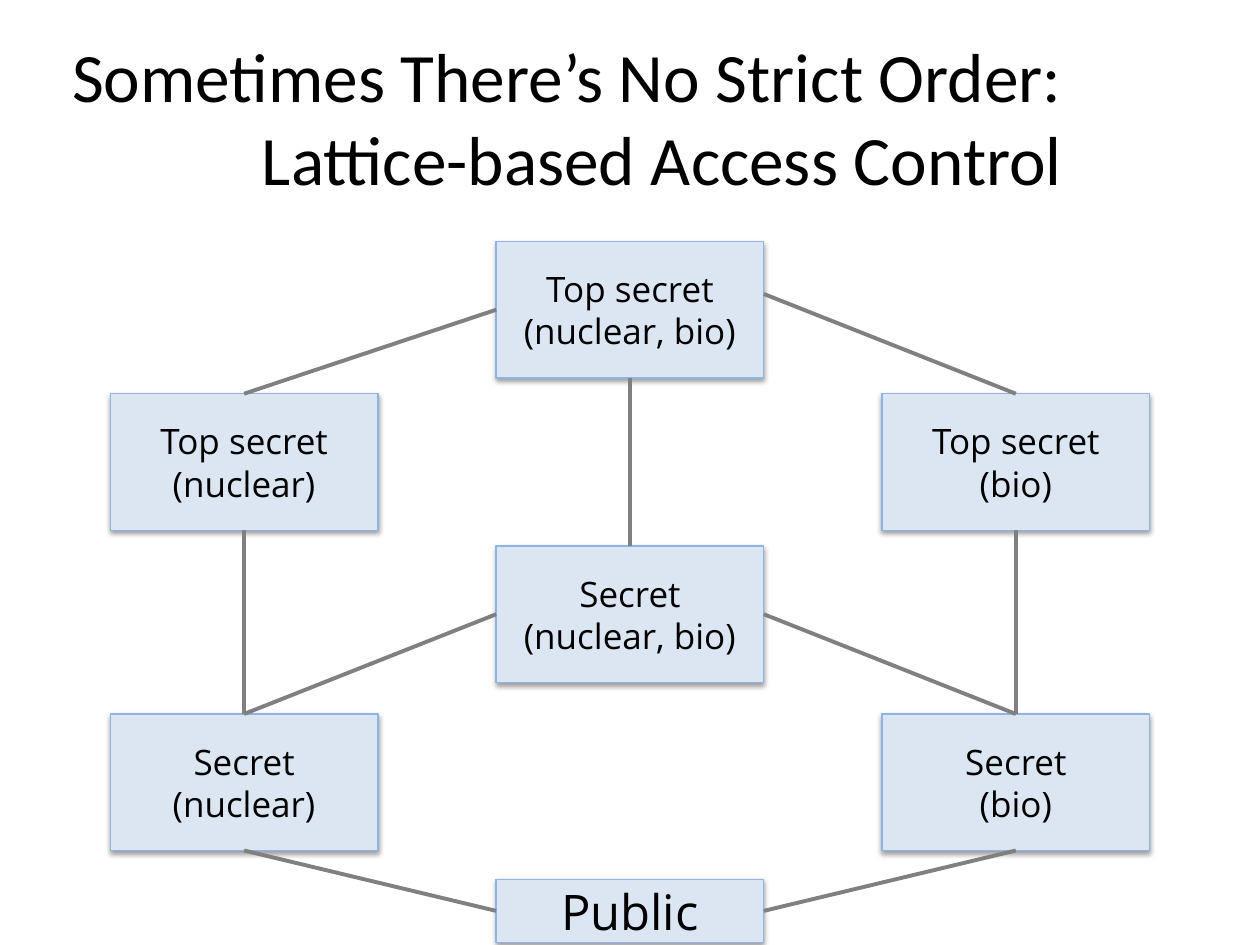
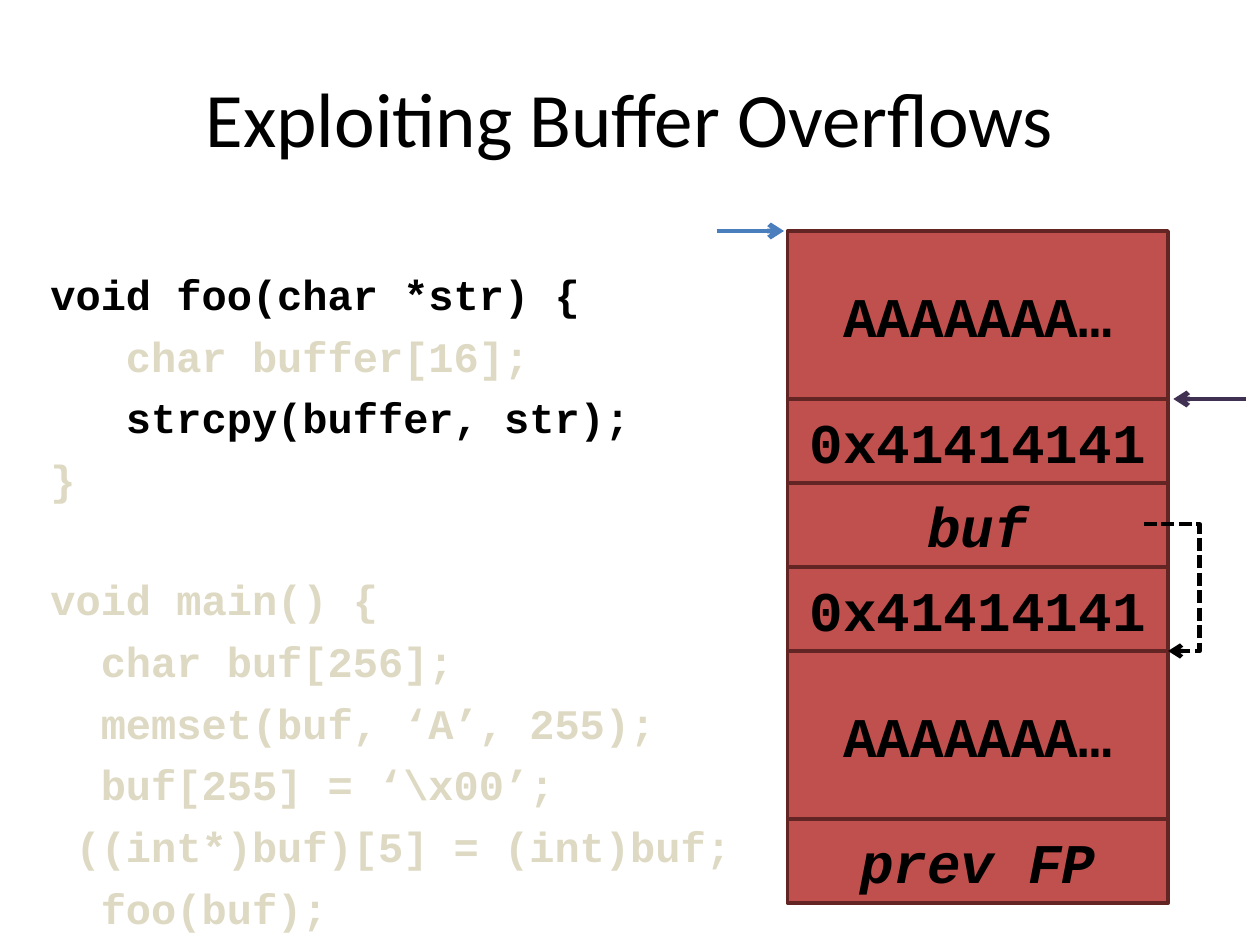
"""Build two security slides: a lattice of access levels and a buffer overflow."""
from lxml.etree import SubElement
from pptx import Presentation
from pptx.dml.color import RGBColor
from pptx.enum.dml import MSO_LINE
from pptx.enum.shapes import MSO_CONNECTOR, MSO_SHAPE
from pptx.enum.text import MSO_ANCHOR, PP_ALIGN
from pptx.oxml.ns import qn
from pptx.util import Pt

BLACK, FADED = "000000", "DDD9C3"
LEVEL_FILL, LEVEL_LINE, EDGE_COLOR = "DCE6F2", "8EB4E3", "808080"
STACK_FILL, STACK_LINE = "C0504D", "632523"
TITLE_FONT, CODE_FONT, LEVEL_FONT = "Calibri", "Courier New", "Open Sans"
TOP, LEFT, BOTTOM, RIGHT = range(4)

LATTICE_TITLE = ["Sometimes There’s No Strict Order:", "Lattice-based Access Control"]
LEVELS = {
    "top both": (["Top secret (nuclear, bio)"], 1, 138),
    "top nuclear": (["Top secret (nuclear)"], 0, 225),
    "top bio": (["Top secret (bio)"], 2, 225),
    "secret both": (["Secret (nuclear, bio)"], 1, 312),
    "secret nuclear": (["Secret (nuclear)"], 0, 408),
    "secret bio": (["Secret", "(bio)"], 2, 408),
    "public": (["Public"], 1, 502.5),
}
EDGES = [
    ("top both", BOTTOM, "secret both", TOP),
    ("secret both", LEFT, "secret nuclear", TOP),
    ("top both", LEFT, "top nuclear", TOP),
    ("top bio", BOTTOM, "secret bio", TOP),
    ("top nuclear", BOTTOM, "secret nuclear", TOP),
    ("secret nuclear", BOTTOM, "public", LEFT),
    ("public", RIGHT, "secret bio", BOTTOM),
    ("secret bio", TOP, "secret both", RIGHT),
]
LEVEL_WIDTH, LEVEL_HEIGHT, PUBLIC_HEIGHT = 153, 78, 36
FIRST_COLUMN, COLUMN_PITCH = 63, 220.5

OVERFLOW_TITLE = ["Exploiting Buffer Overflows"]
FUNCTIONS = [
    [("void foo(char *str) {", BLACK), ("   char buffer[16];", FADED),
     ("   strcpy(buffer, str);", BLACK), ("}", FADED)],
    [(line, FADED) for line in (
        "void main() {", "  char buf[256];", "  memset(buf, ‘A’, 255);",
        "  buf[255] = ‘\\x00’;", " ((int*)buf)[5] = (int)buf;", "  foo(buf);", "}")],
]
CODE_GAP, FUNCTION_GAP = 6.4, 40
STACK = [("AAAAAAA…", 2, False), ("0x41414141", 1, False), ("buf", 1, True),
         ("0x41414141", 1, False), ("AAAAAAA…", 2, False), ("prev FP", 1, True)]
STACK_LEFT, STACK_TOP, STACK_WIDTH, WORD_HEIGHT = 450, 132, 217.5, 48
ARROWS = [((409.5, 132), (448, 132), "4B7EBC"), ((712, 228), (670.5, 228), "403152")]
POINTER_PATH = [(653.5, 299.5), (685.5, 299.5), (685.5, 372), (667.5, 372)]


def rgb(color):
    """Turn a hex string into a colour."""
    return RGBColor.from_string(color)


def write(paragraph, text, *, size, font, color=BLACK, bold=False, italic=False,
          align=PP_ALIGN.LEFT, before=0):
    """Fill one paragraph with formatted text."""
    paragraph.alignment = align
    paragraph.space_before = Pt(before)
    run = paragraph.add_run()
    run.text = text
    run.font.size, run.font.name = Pt(size), font
    run.font.bold, run.font.italic = bold, italic
    run.font.color.rgb = rgb(color)


def write_lines(frame, lines, **style):
    """Write lines of one style as paragraphs, centred vertically."""
    frame.word_wrap = True
    frame.vertical_anchor = MSO_ANCHOR.MIDDLE
    for index, line in enumerate(lines):
        write(frame.add_paragraph() if index else frame.paragraphs[0], line, **style)


def add_title(slide, lines, size, align=PP_ALIGN.CENTER, right_inset=7.2):
    """Add the slide title."""
    frame = slide.shapes.add_textbox(Pt(36), Pt(21.6), Pt(648), Pt(90)).text_frame
    frame.margin_left = Pt(0 if align == PP_ALIGN.RIGHT else 7.2)
    frame.margin_right = Pt(right_inset)
    write_lines(frame, lines, size=size, font=TITLE_FONT, align=align)


def add_box(slide, left, top, width, height, fill, line, line_width, lines, **style):
    """Add a rectangle with centred text."""
    shape = slide.shapes.add_shape(MSO_SHAPE.RECTANGLE, Pt(left), Pt(top), Pt(width), Pt(height))
    shape.fill.solid()
    shape.fill.fore_color.rgb = rgb(fill)
    shape.line.color.rgb = rgb(line)
    shape.line.width = Pt(line_width)
    shape.shadow.inherit = False
    write_lines(shape.text_frame, lines, align=PP_ALIGN.CENTER, **style)
    return shape


def add_shadow(shape):
    """Give a shape a soft shadow just below it."""
    effects = shape._element.spPr.find(qn("a:effectLst"))
    shadow = SubElement(effects, qn("a:outerShdw"), blurRad=str(Pt(3.1)), dist=str(Pt(1.6)),
                        dir="5400000", rotWithShape="0")
    color = SubElement(shadow, qn("a:srgbClr"), val=BLACK)
    SubElement(color, qn("a:alpha"), val="38000")


def add_line(slide, start, end, color, width):
    """Add a straight connector without a shadow."""
    connector = slide.shapes.add_connector(
        MSO_CONNECTOR.STRAIGHT, *(Pt(value) for value in (*start, *end)))
    connector.line.color.rgb = rgb(color)
    connector.line.width = Pt(width)
    SubElement(connector._element.spPr, qn("a:effectLst"))
    return connector


def add_arrowhead(shape):
    """Put an open arrowhead at the end of a line."""
    SubElement(shape.line._get_or_add_ln(), qn("a:tailEnd"), type="arrow")


def build_lattice(slide):
    """Draw the lattice of access levels."""
    add_title(slide, LATTICE_TITLE, 39.6, PP_ALIGN.RIGHT, 77)
    boxes = {}
    for name, (lines, column, top) in LEVELS.items():
        public = name == "public"
        boxes[name] = add_box(
            slide, FIRST_COLUMN + column * COLUMN_PITCH, top, LEVEL_WIDTH,
            PUBLIC_HEIGHT if public else LEVEL_HEIGHT, LEVEL_FILL, LEVEL_LINE, 0.75,
            lines, size=28 if public else 20, font=LEVEL_FONT)
        add_shadow(boxes[name])
    for first, first_side, second, second_side in EDGES:
        edge = add_line(slide, (0, 0), (0, 0), EDGE_COLOR, 2.25)
        edge.begin_connect(boxes[first], first_side)
        edge.end_connect(boxes[second], second_side)
    upper_edge = add_line(slide, (436.5, 168), (580.5, 225), EDGE_COLOR, 2.25)
    upper_edge.end_connect(boxes["top bio"], TOP)


def add_code(slide):
    """Add the source code, with a wider gap between functions."""
    frame = slide.shapes.add_textbox(Pt(12.24), Pt(150), Pt(648), Pt(364)).text_frame
    frame.word_wrap = True
    frame.margin_left = Pt(16.56)
    paragraph = frame.paragraphs[0]
    for function_index, function in enumerate(FUNCTIONS):
        for line_index, (line, color) in enumerate(function):
            before = CODE_GAP if line_index else FUNCTION_GAP * function_index
            if function_index or line_index:
                paragraph = frame.add_paragraph()
            write(paragraph, line, size=24, font=CODE_FONT, color=color, bold=True, before=before)


def build_overflow(slide):
    """Draw the code beside the overwritten stack."""
    add_title(slide, OVERFLOW_TITLE, 44)
    add_code(slide)
    top = STACK_TOP
    for text, words, italic in STACK:
        add_box(slide, STACK_LEFT, top, STACK_WIDTH, words * WORD_HEIGHT, STACK_FILL, STACK_LINE,
                2, [text], size=32, font=CODE_FONT, bold=True, italic=italic)
        top += words * WORD_HEIGHT
    for start, end, color in ARROWS:
        add_arrowhead(add_line(slide, start, end, color, 2.75))
    corners = [(Pt(x), Pt(y)) for x, y in POINTER_PATH]
    builder = slide.shapes.build_freeform(*corners[0])
    builder.add_line_segments(corners[1:], close=False)
    pointer = builder.convert_to_shape()
    pointer.fill.background()
    pointer.line.color.rgb = rgb(BLACK)
    pointer.line.width = Pt(2.5)
    pointer.line.dash_style = MSO_LINE.SQUARE_DOT
    pointer.shadow.inherit = False
    add_arrowhead(pointer)


def main():
    """Build and save the presentation."""
    presentation = Presentation()
    presentation.slide_width, presentation.slide_height = Pt(720), Pt(540)
    for build in (build_lattice, build_overflow):
        build(presentation.slides.add_slide(presentation.slide_layouts[6]))
    presentation.save("out.pptx")


if __name__ == "__main__":
    main()
